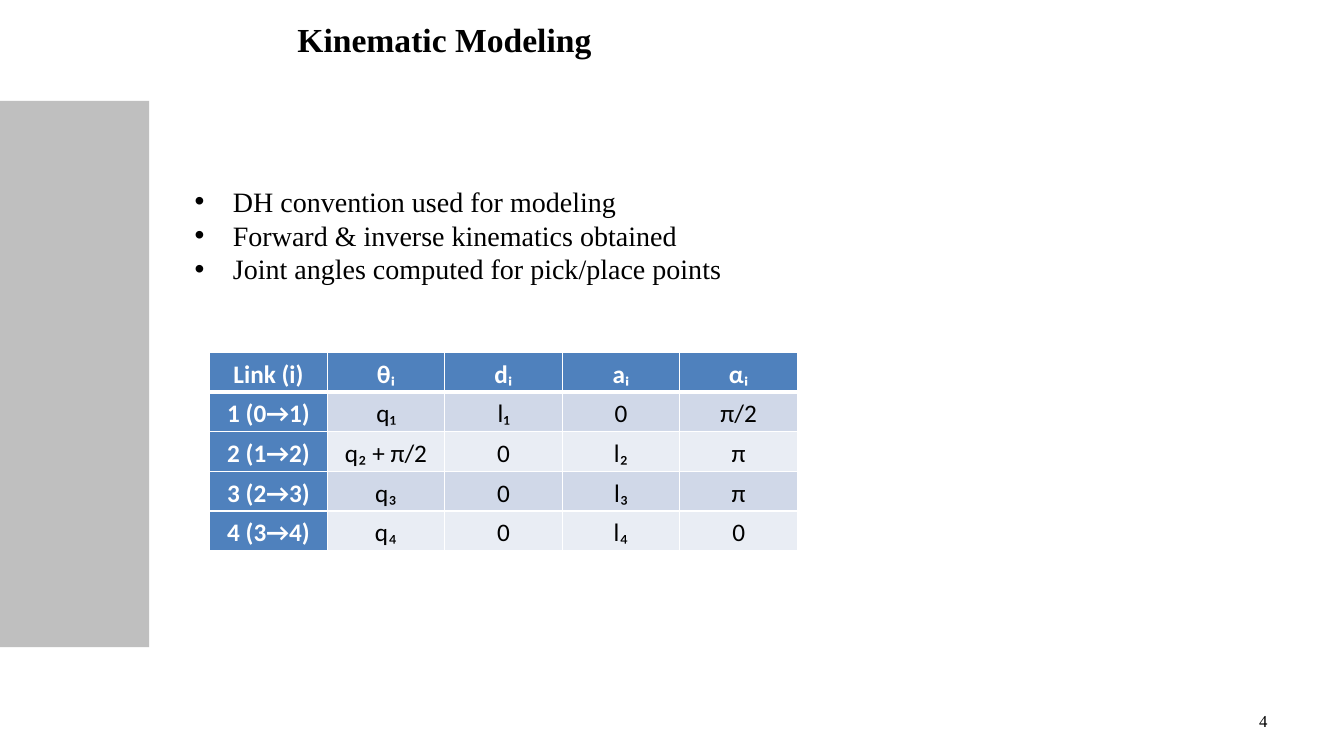
import pptx
import pptx.util
import pptx.dml.color
import pptx.enum.shapes
import pptx.enum.text
import pptx.oxml
import pptx.oxml.ns

RGB = pptx.dml.color.RGBColor
BLACK = RGB(0x00, 0x00, 0x00)
WHITE = RGB(0xFF, 0xFF, 0xFF)
GREY = RGB(0xBF, 0xBF, 0xBF)
BLUE = RGB(0x4F, 0x81, 0xBD)
BANDS = [RGB(0xD0, 0xD8, 0xE8), RGB(0xE9, 0xED, 0xF4)]
SERIF = "Times New Roman"
ALIGN = pptx.enum.text.PP_ALIGN
ANCHOR = pptx.enum.text.MSO_ANCHOR
FIT = pptx.enum.text.MSO_AUTO_SIZE
SCALE = 9144

POINTS = [
    "DH convention used for modeling",
    "Forward & inverse kinematics obtained",
    "Joint angles computed for pick/place points",
]
LINKS = [
    ["Link (i)", "θᵢ", "dᵢ", "aᵢ", "αᵢ"],
    ["1 (0→1)", "q₁", "l₁", "0", "π/2"],
    ["2 (1→2)", "q₂ + π/2", "0", "l₂", "π"],
    ["3 (2→3)", "q₃", "0", "l₃", "π"],
    ["4 (3→4)", "q₄", "0", "l₄", "0"],
]


def px(count):
    return pptx.util.Emu(count * SCALE)


def place(shape, box):
    shape.left, shape.top, shape.width, shape.height = map(px, box)


def style(para, size, font, color, bold=False):
    para.font.size = pptx.util.Pt(size)
    para.font.name = font
    para.font.color.rgb = color
    para.font.bold = bold


def add_bar(slide, box):
    kind = pptx.enum.shapes.MSO_SHAPE.RECTANGLE
    bar = slide.shapes.add_shape(kind, *map(px, box))
    bar.shadow.inherit = False
    bar.fill.solid()
    bar.fill.fore_color.rgb = GREY
    bar.line.fill.background()


def add_title(slide, box, text):
    title = slide.shapes.title
    place(title, box)
    frame = title.text_frame
    frame.text = text
    frame.auto_size = FIT.NONE
    frame.vertical_anchor = ANCHOR.TOP
    para = frame.paragraphs[0]
    para.alignment = ALIGN.LEFT
    style(para, 24, SERIF, BLACK, True)


def add_list(slide, box, lines):
    body = slide.placeholders[1]
    place(body, box)
    frame = body.text_frame
    frame.text = "\n".join(lines)
    frame.auto_size = FIT.SHAPE_TO_FIT_TEXT
    for para in frame.paragraphs:
        props = para._p.get_or_add_pPr()
        props.set("marL", str(px(38)))
        props.set("indent", str(px(-38)))
        space = pptx.oxml.ns.nsdecls("a")
        for tag in (f'<a:buFont {space} typeface="Arial"/>',
                    f'<a:buChar {space} char="•"/>'):
            props.append(pptx.oxml.parse_xml(tag))
        para.space_before = pptx.util.Pt(0)
        style(para, 20, SERIF, BLACK)


def add_edges(cell, row):
    widths = {"L": 1, "R": 1, "T": 3 if row == 1 else 1, "B": 3 if row == 0 else 1}
    props = cell._tc.get_or_add_tcPr()
    for spot, (side, width) in enumerate(widths.items()):
        props.insert(spot, pptx.oxml.parse_xml(
            f'<a:ln{side} {pptx.oxml.ns.nsdecls("a")} w="{pptx.util.Pt(width)}">'
            f'<a:solidFill><a:srgbClr val="{WHITE}"/></a:solidFill></a:ln{side}>'))


def fill_cell(cell, text, row, col):
    head = row == 0 or col == 0
    cell.fill.solid()
    cell.fill.fore_color.rgb = BLUE if head else BANDS[(row - 1) % 2]
    cell.margin_left = cell.margin_right = px(1)
    cell.margin_top = cell.margin_bottom = px(1)
    cell.vertical_anchor = ANCHOR.MIDDLE
    cell.text = text
    para = cell.text_frame.paragraphs[0]
    para.alignment = ALIGN.CENTER
    para.line_spacing = 1.15
    para.space_after = pptx.util.Pt(8)
    style(para, 18, "Calibri", WHITE if head else BLACK, head)
    add_edges(cell, row)


def add_links(slide, box, rows):
    grid = slide.shapes.add_table(len(rows), len(rows[0]), *map(px, box)).table
    grid.first_col = True
    for row, texts in enumerate(rows):
        grid.rows[row].height = px(40 if row == 2 else 39)
        for col, text in enumerate(texts):
            fill_cell(grid.cell(row, col), text, row, col)


def add_number(slide, box, text):
    frame = slide.shapes.add_textbox(*map(px, box)).text_frame
    frame.word_wrap = True
    frame.vertical_anchor = ANCHOR.MIDDLE
    frame.text = text
    para = frame.paragraphs[0]
    para.alignment = ALIGN.RIGHT
    style(para, 12, SERIF, BLACK)


def main():
    deck = pptx.Presentation()
    deck.slide_width, deck.slide_height = px(1333), px(750)
    slide = deck.slides.add_slide(deck.slide_layouts[1])
    add_number(slide, (956, 695, 311, 40), "4")
    add_bar(slide, (0, 100, 148, 542))
    add_title(slide, (285, 14, 1022, 34), "Kinematic Modeling")
    add_list(slide, (183, 178, 890, 111), POINTS)
    add_links(slide, (208, 350, 583, 197), LINKS)
    deck.save("out.pptx")


if __name__ == "__main__":
    main()
